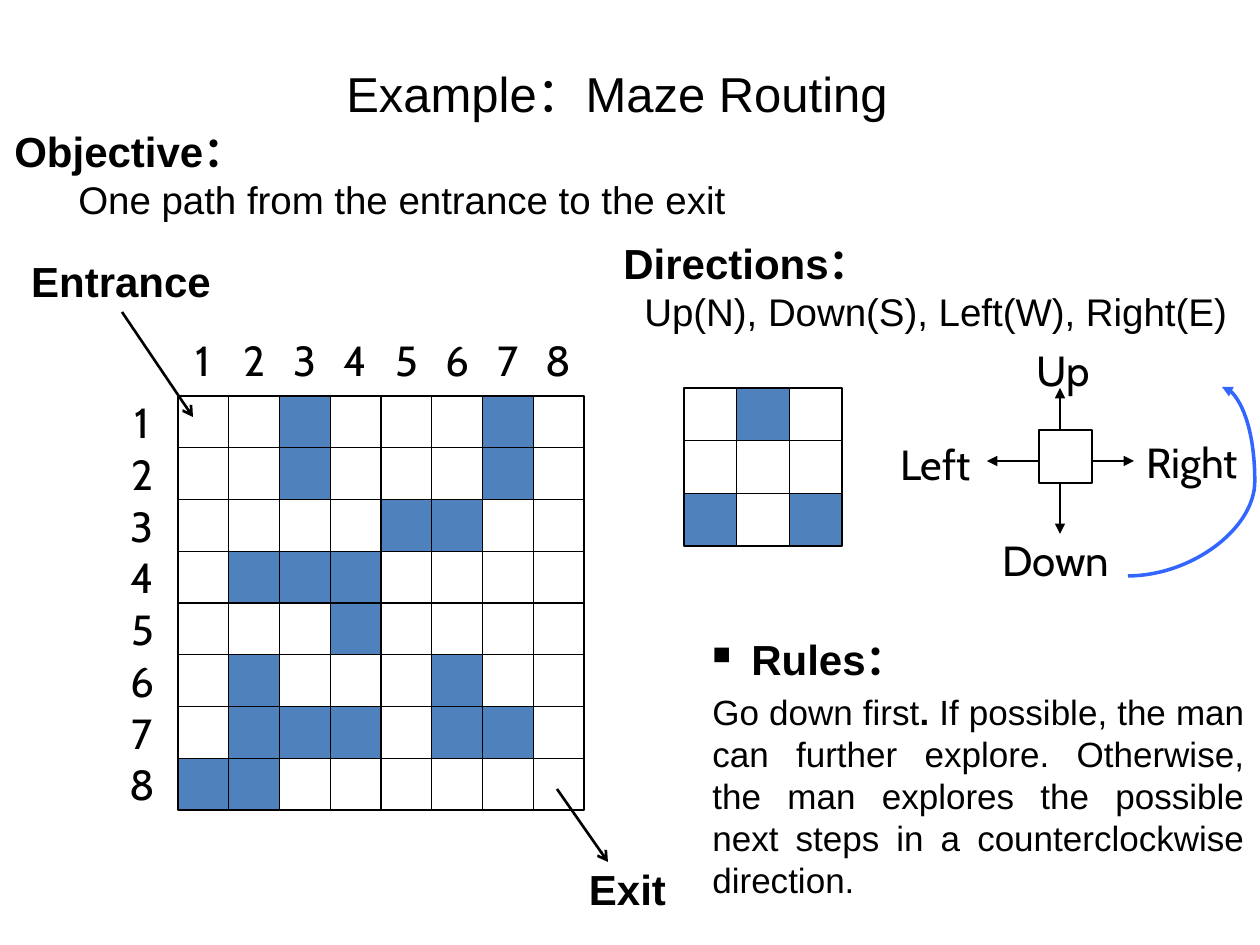
"""Build the maze routing example slide."""
from lxml import etree
from pptx import Presentation
from pptx.dml.color import RGBColor
from pptx.enum.shapes import MSO_CONNECTOR, MSO_SHAPE
from pptx.enum.text import MSO_ANCHOR, MSO_AUTO_SIZE, PP_ALIGN
from pptx.oxml.ns import qn
from pptx.util import Emu, Pt

STRAIGHT, CURVE = MSO_CONNECTOR.STRAIGHT, MSO_CONNECTOR.CURVE
RECTANGLE = MSO_SHAPE.RECTANGLE
MIDDLE = MSO_ANCHOR.MIDDLE
LEFT, CENTER, JUSTIFY = PP_ALIGN.LEFT, PP_ALIGN.CENTER, PP_ALIGN.JUSTIFY
FIT_TEXT = MSO_AUTO_SIZE.SHAPE_TO_FIT_TEXT

BLACK = RGBColor(0x00, 0x00, 0x00)
WHITE = RGBColor(0xFF, 0xFF, 0xFF)
WALL_BLUE = RGBColor(0x4F, 0x81, 0xBD)
TURN_BLUE = RGBColor(0x33, 0x66, 0xFF)
CELL_FILLS = {".": None, "#": WALL_BLUE, "o": WHITE}
HEADING_FONT, LABEL_FONT = "Arial", "Cabin"
EMU_PER_PX = 914400 / 126

MAZE = [
    "..#...#.",
    "..#...#.",
    "....##..",
    ".###....",
    "...#....",
    ".#...#..",
    ".###.##.",
    "##......",
]
NEIGHBOURHOOD = [".#.", "...", "#o#"]
MAZE_BOX = (178, 396, 406, 414)
NEIGHBOURHOOD_BOX = (684, 388, 158, 158)
DIRECTION_LABELS = [
    ("Right", (1134, 430, 161, 64)),
    ("Down", (990, 528, 149, 64)),
    ("Up", (1024, 338, 82, 64)),
    ("Left", (888, 432, 116, 64)),
]
DIRECTION_ARROWS = [
    ((1060, 430), (1060, 388)),
    ((1060, 483), (1060, 534)),
    ((1039, 461), (987, 461)),
    ((1091, 461), (1134, 461)),
]


def px(value):
    """Turn pixels into EMU."""
    return Emu(round(value * EMU_PER_PX))


def style(paragraph, size, font=HEADING_FONT, bold=False, align=LEFT):
    """Set the font and alignment of a paragraph."""
    paragraph.alignment = align
    paragraph.font.name = font
    paragraph.font.size = Pt(size)
    paragraph.font.bold = bold
    paragraph.font.color.rgb = BLACK


def add_text_box(slide, box):
    """Add a wrapping text box and return its text frame."""
    frame = slide.shapes.add_textbox(*map(px, box)).text_frame
    frame.word_wrap = True
    frame.auto_size = FIT_TEXT
    return frame


def add_label(slide, box, text, font=LABEL_FONT, bold=False):
    """Add a one-line label centred in its box."""
    frame = slide.shapes.add_textbox(*map(px, box)).text_frame
    frame.word_wrap = False
    frame.vertical_anchor = MIDDLE
    paragraph = frame.paragraphs[0]
    paragraph.text = text
    style(paragraph, 24, font, bold, CENTER)


def add_section(slide, box, heading, body, indent):
    """Add a bold heading with an indented line below it."""
    frame = add_text_box(slide, box)
    first = frame.paragraphs[0]
    first.text = heading
    style(first, 24, bold=True)
    second = frame.add_paragraph()
    second.text = body
    second._p.get_or_add_pPr().set("marL", str(px(indent)))
    style(second, 22)


def add_cell(slide, box, fill=None):
    """Add a thinly outlined square, unfilled by default."""
    shape = slide.shapes.add_shape(RECTANGLE, *map(px, box))
    shape.shadow.inherit = False
    shape.line.color.rgb = BLACK
    shape.line.width = Pt(0.75)
    if fill is None:
        shape.fill.background()
    else:
        shape.fill.solid()
        shape.fill.fore_color.rgb = fill


def add_grid(slide, box, rows):
    """Divide a box evenly into cells filled by the row patterns."""
    left, top, width, height = box
    cell_height = height / len(rows)
    for row_index, row in enumerate(rows):
        cell_width = width / len(row)
        for column_index, mark in enumerate(row):
            cell = (left + column_index * cell_width,
                    top + row_index * cell_height, cell_width, cell_height)
            add_cell(slide, cell, CELL_FILLS[mark])


def add_maze_numbers(slide):
    """Number the columns above and the rows beside the maze."""
    left, top, width, height = MAZE_BOX
    count = len(MAZE)
    cell_width, cell_height = width / count, height / count
    for index in range(count):
        number = str(index + 1)
        column_box = (left + index * cell_width, 334, cell_width, cell_height)
        row_box = (117, top + index * cell_height, cell_width, cell_height)
        add_label(slide, column_box, number)
        add_label(slide, row_box, number)


def add_arrow(slide, start, end, width, head, color=BLACK, kind=STRAIGHT):
    """Add a connector with an arrowhead at its end."""
    connector = slide.shapes.add_connector(kind, *map(px, start + end))
    connector.line.color.rgb = color
    connector.line.width = Pt(width)
    line = connector.line._get_or_add_ln()
    etree.SubElement(line, qn("a:tailEnd"), type=head)
    etree.SubElement(connector._element.spPr, qn("a:effectLst"))
    return connector


def add_turn_arrow(slide):
    """Add the curved counterclockwise arrow, bulging past its end."""
    connector = add_arrow(slide, (1128, 576), (1222, 387), 2, "triangle",
                          TURN_BLUE, CURVE)
    geometry = connector._element.spPr.find(qn("a:prstGeom"))
    adjustments = geometry.find(qn("a:avLst"))
    if adjustments is None:
        adjustments = etree.SubElement(geometry, qn("a:avLst"))
    etree.SubElement(adjustments, qn("a:gd"), name="adj1", fmla="val 134900")


def add_rules(slide):
    """Add the bulleted rules heading and its justified text."""
    frame = add_text_box(slide, (700, 627, 557, 285))
    heading = frame.paragraphs[0]
    heading.text = "Rules："
    properties = heading._p.get_or_add_pPr()
    properties.set("marL", str(px(39)))
    properties.set("indent", str(-px(39)))
    color = etree.SubElement(properties, qn("a:buClr"))
    etree.SubElement(color, qn("a:srgbClr"), val=str(BLACK))
    etree.SubElement(properties, qn("a:buSzPct"), val="60000")
    etree.SubElement(properties, qn("a:buChar"), char="■")
    style(heading, 24, bold=True)
    body = frame.add_paragraph()
    body.space_before = Pt(4)
    style(body, 20, align=JUSTIFY)
    for text, bold in [
        ("Go down first", False),
        (". ", True),
        ("If possible, the man can further explore. Otherwise, the man "
         "explores the possible next steps in a counterclockwise direction.",
         False),
    ]:
        run = body.add_run()
        run.text = text
        run.font.bold = bold


def add_title(slide):
    """Place and format the slide title."""
    title = slide.shapes.title
    title.left, title.top, title.width, title.height = map(
        px, (50, 14, 1134, 157))
    title.text_frame.vertical_anchor = MIDDLE
    paragraph = title.text_frame.paragraphs[0]
    paragraph.text = "Example：Maze Routing"
    style(paragraph, 28, align=CENTER)


def add_compass(slide):
    """Add the square with its four labelled direction arrows."""
    for start, end in DIRECTION_ARROWS:
        add_arrow(slide, start, end, 0.75, "triangle")
    add_cell(slide, (1039, 430, 53, 53))
    for text, box in DIRECTION_LABELS:
        paragraph = add_text_box(slide, box).paragraphs[0]
        paragraph.text = text
        style(paragraph, 24, LABEL_FONT)


def main():
    """Build and save the slide."""
    presentation = Presentation()
    presentation.slide_width, presentation.slide_height = px(1260), px(945)
    slide = presentation.slides.add_slide(presentation.slide_layouts[5])
    add_title(slide)
    add_section(slide, (2, 119, 756, 111), "Objective：",
                "One path from the entrance to the exit", 64)
    add_section(slide, (611, 231, 670, 111), "Directions：",
                "Up(N), Down(S), Left(W), Right(E)", 21)
    add_grid(slide, MAZE_BOX, MAZE)
    add_maze_numbers(slide)
    add_label(slide, (11, 255, 220, 52), "Entrance", HEADING_FONT, True)
    add_arrow(slide, (122, 312), (193, 417), 1.5, "arrow")
    add_label(slide, (572, 863, 111, 52), "Exit", HEADING_FONT, True)
    add_arrow(slide, (557, 789), (608, 862), 1.5, "arrow")
    add_grid(slide, NEIGHBOURHOOD_BOX, NEIGHBOURHOOD)
    add_compass(slide)
    add_turn_arrow(slide)
    add_rules(slide)
    presentation.save("out.pptx")


if __name__ == "__main__":
    main()
